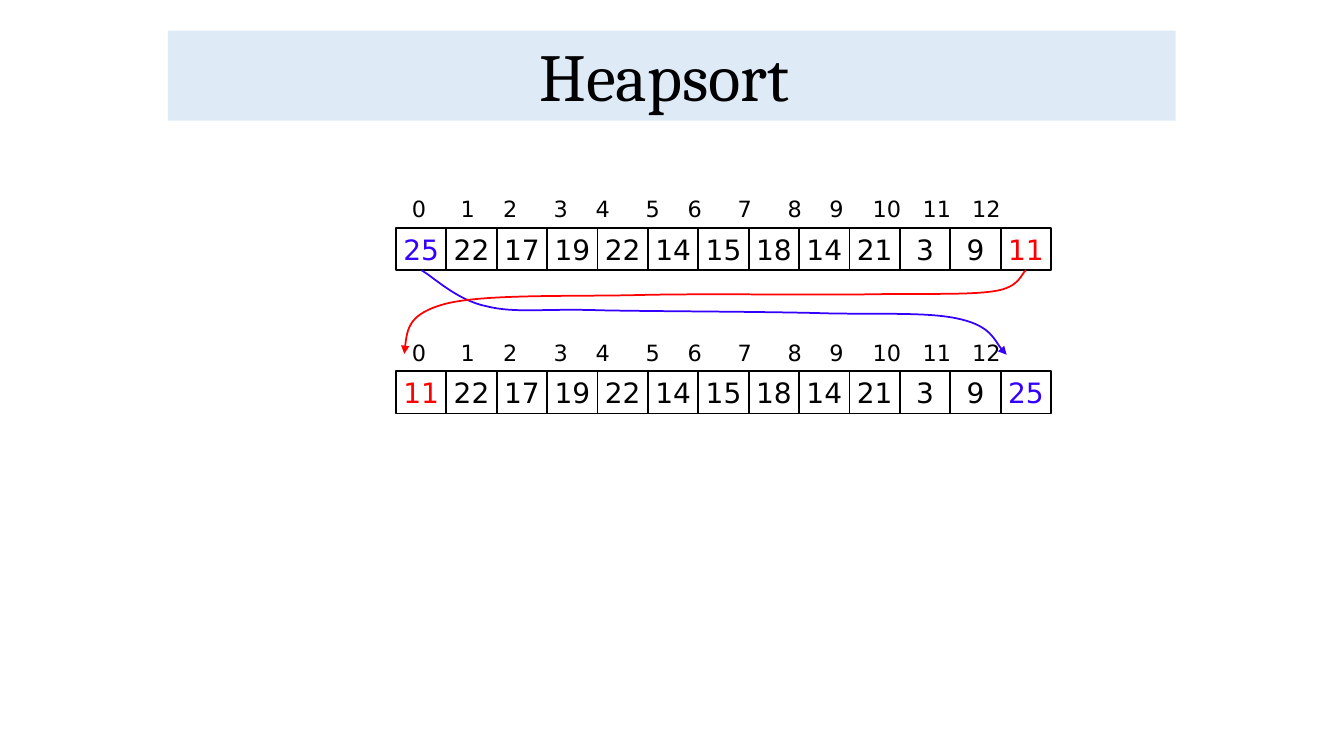
from dataclasses import dataclass

import pptx
import pptx.dml.color
import pptx.enum.shapes
import pptx.enum.text
import pptx.oxml
import pptx.oxml.ns
import pptx.util
from pptx.util import Cm

ALIGN = pptx.enum.text.PP_ALIGN
ANCHOR = pptx.enum.text.MSO_ANCHOR
RECT = pptx.enum.shapes.MSO_SHAPE.RECTANGLE
qn = pptx.oxml.ns.qn


@dataclass(frozen=True)
class Theme:
    black: str = "000000"
    blue: str = "3300FF"
    red: str = "FF0000"
    band: str = "DEEBF7"
    title_font: str = "Cambria"
    body_font: str = "DejaVu Sans"
    title_size: int = 48
    value_size: int = 20
    index_size: int = 16
    line_width: float = 1.25


THEME = Theme()

ROW_LEFT, CELL_W, CELL_H = 9.98, 1.27, 1.07
INDEX_LEFT, INDEX_W, INDEX_H = 9.78, 17.58, 0.94
# Centres of the index numbers, measured from the left edge of their text
INDEX_STOPS = [0.53, 1.76, 2.83, 4.1, 5.16, 6.42, 7.48,
               8.74, 10, 11.05, 12.32, 13.58, 14.83]

HEAP = [25, 22, 17, 19, 22, 14, 15, 18, 14, 21, 3, 9, 11]
SWAPPED = [HEAP[-1], *HEAP[1:-1], HEAP[0]]

# Each curve: a start point, then three points per Bezier segment
ROOT_TO_END = [
    (10.62, 6.81),
    (10.9, 6.96), (11.51, 7.57), (12.27, 7.72),
    (13, 7.9), (13.69, 7.77), (15.14, 7.82),
    (16.59, 7.85), (19.43, 7.85), (20.96, 7.9),
    (22.48, 7.92), (23.5, 7.87), (24.23, 8.05),
    (24.97, 8.23), (25.15, 8.76), (25.37, 8.94),
]
END_TO_ROOT = [
    (25.86, 6.81),
    (25.73, 6.88), (25.73, 7.24), (25.04, 7.34),
    (24.36, 7.44), (23.24, 7.39), (21.72, 7.42),
    (20.22, 7.44), (17.65, 7.39), (15.9, 7.44),
    (14.17, 7.47), (12.19, 7.42), (11.25, 7.65),
    (10.29, 7.9), (10.24, 8.41), (10.19, 8.92),
]


def rgb(color):
    return pptx.dml.color.RGBColor.from_string(color)


def write(tf, text, font, size, color, align):
    p = tf.paragraphs[0]
    p.text = text
    p.alignment = align
    for r in p.runs:
        r.font.name = font
        r.font.size = pptx.util.Pt(size)
        r.font.color.rgb = rgb(color)
    return p


def outline(sp, color):
    sp.shadow.inherit = False
    sp.fill.background()
    sp.line.color.rgb = rgb(color)
    sp.line.width = pptx.util.Pt(THEME.line_width)


def add_title(slide, text):
    sp = slide.shapes.title
    sp.left, sp.top, sp.width, sp.height = Cm(4.23), Cm(0.77), Cm(25.4), Cm(2.27)
    sp.fill.solid()
    sp.fill.fore_color.rgb = rgb(THEME.band)
    tf = sp.text_frame
    tf.auto_size = pptx.enum.text.MSO_AUTO_SIZE.NONE
    tf.vertical_anchor = ANCHOR.BOTTOM
    p = write(tf, text, THEME.title_font, THEME.title_size, THEME.black, ALIGN.CENTER)
    p.line_spacing = 0.9


def add_cell(shapes, left, top, value, color):
    sp = shapes.add_shape(RECT, Cm(left), Cm(top), Cm(CELL_W), Cm(CELL_H))
    outline(sp, THEME.black)
    tf = sp.text_frame
    tf.word_wrap = False
    tf.vertical_anchor = ANCHOR.MIDDLE
    write(tf, str(value), THEME.body_font, THEME.value_size, color, ALIGN.CENTER)


def add_indices(shapes, top):
    """Number the cells in one line of text, centred on tab stops."""
    sp = shapes.add_textbox(Cm(INDEX_LEFT), Cm(top), Cm(INDEX_W), Cm(INDEX_H))
    tf = sp.text_frame
    tf.word_wrap = True
    text = "".join(f"\t{i}" for i in range(len(INDEX_STOPS)))
    p = write(tf, text, THEME.body_font, THEME.index_size, THEME.black, ALIGN.LEFT)
    pPr = p._p.get_or_add_pPr()
    tabs = pptx.oxml.parse_xml(
        '<a:tabLst xmlns:a="http://schemas.openxmlformats.org/drawingml/2006/main"/>')
    for stop in INDEX_STOPS:
        tab = tabs.makeelement(qn("a:tab"), {"pos": str(Cm(stop)), "algn": "ctr"})
        tabs.append(tab)
    pPr.append(tabs)


def add_array(slide, top, values):
    shapes = slide.shapes.add_group_shape().shapes
    colors = {HEAP[0]: THEME.blue, HEAP[-1]: THEME.red}
    for i, value in enumerate(values):
        add_cell(shapes, ROW_LEFT + i * CELL_W, top, value,
                 colors.get(value, THEME.black))
    add_indices(shapes, top - INDEX_H)


def add_curved_arrow(slide, points, color):
    start, *rest = [(Cm(x), Cm(y)) for x, y in points]
    builder = slide.shapes.build_freeform(*start)
    builder.add_line_segments(rest, close=False)
    sp = builder.convert_to_shape()
    outline(sp, color)

    # Turn every three straight segments into one Bezier segment
    lines = list(sp._element.iter(qn("a:lnTo")))
    for i in range(0, len(lines), 3):
        curve = lines[i].makeelement(qn("a:cubicBezTo"), {})
        lines[i].addprevious(curve)
        for line in lines[i:i + 3]:
            curve.append(line[0])
            line.getparent().remove(line)

    ln = sp.line._get_or_add_ln()
    ln.append(ln.makeelement(qn("a:tailEnd"), {"type": "triangle"}))


def main():
    prs = pptx.Presentation()
    prs.slide_width, prs.slide_height = Cm(33.87), Cm(19.05)
    slide = prs.slides.add_slide(prs.slide_layouts[0])
    subtitle = slide.placeholders[1]._element
    subtitle.getparent().remove(subtitle)

    add_title(slide, "Heapsort ")
    add_array(slide, 5.74, HEAP)
    add_array(slide, 9.35, SWAPPED)
    add_curved_arrow(slide, ROOT_TO_END, THEME.blue)
    add_curved_arrow(slide, END_TO_ROOT, THEME.red)
    prs.save("out.pptx")


if __name__ == "__main__":
    main()
